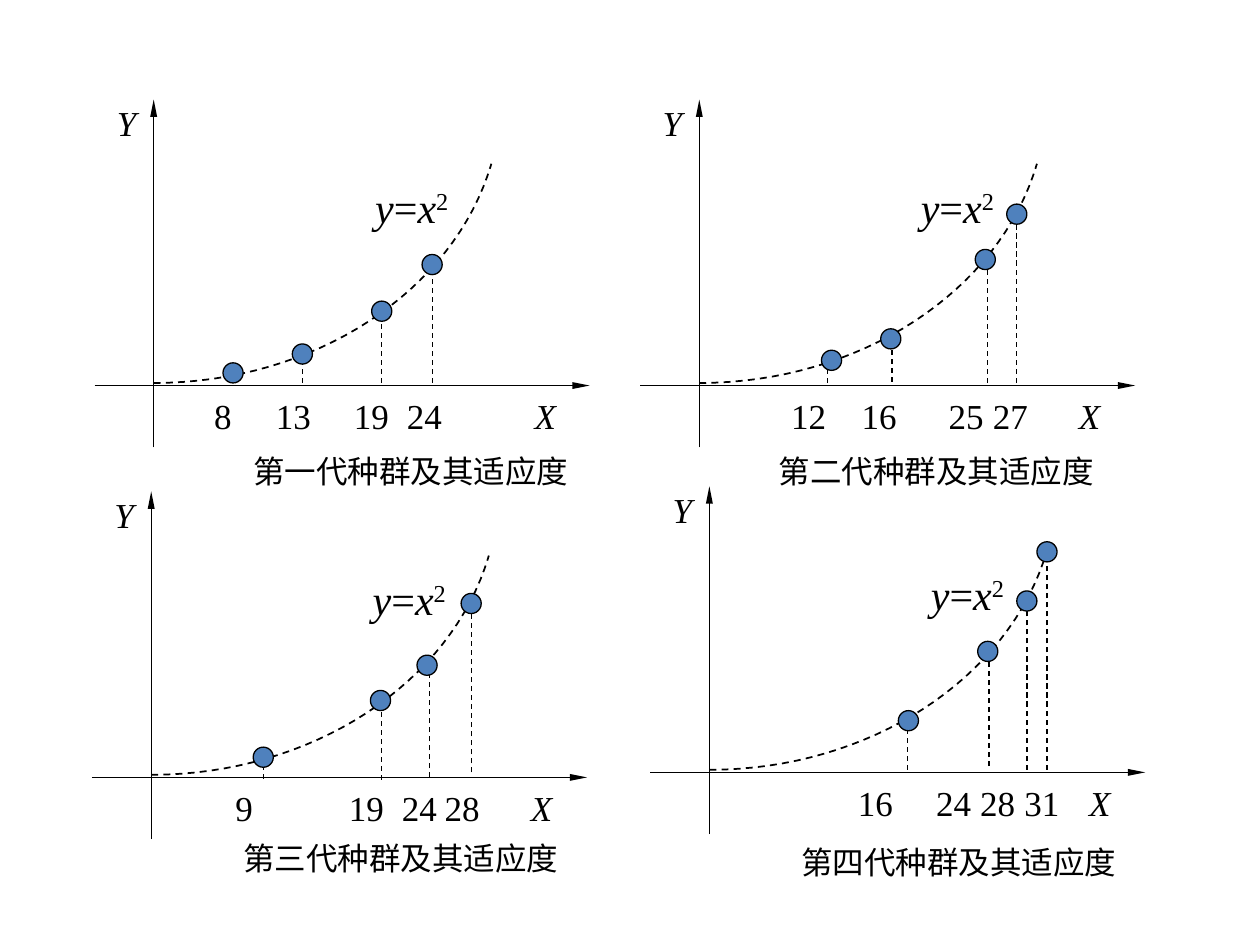
from lxml.etree import SubElement as Sub
from pptx import Presentation
from pptx.dml.color import RGBColor
from pptx.enum.dml import MSO_LINE as Dash
from pptx.enum.shapes import MSO_CONNECTOR as Link, MSO_SHAPE as Form
from pptx.enum.text import MSO_AUTO_SIZE as Fit
from pptx.oxml.ns import qn
from pptx.util import Inches, Pt

PLOTS = [
    dict(org=(1.22, 3.06), title=("第一代种群及其适应度", 2.01, 3.59),
         marks=[("8", 1.77), ("13", 2.33), ("19", 2.95), ("24", 3.37), ("X", 4.33)],
         dots=[(1.77, 2.88), (2.32, 2.73), (2.95, 2.39), (3.35, 2.02)],
         drops=[(2.4, 2.81, 3.04), (3.03, 2.49, 3.04), (3.43, 2.1, 3.04)]),
    dict(org=(5.55, 3.06), title=("第二代种群及其适应度", 6.18, 3.59),
         marks=[("12", 6.42), ("16", 6.98), ("25", 7.67), ("27", 8.02), ("X", 8.65)],
         dots=[(6.52, 2.78), (6.99, 2.61), (7.74, 1.98), (7.99, 1.62)],
         drops=[(6.57, 2.88, 3.04), (7.08, 2.71, 3.03), (7.84, 2.1, 3.04), (8.07, 1.62, 3.04)]),
    dict(org=(1.2, 6.17), title=("第三代种群及其适应度", 1.93, 6.66),
         marks=[("9", 1.94), ("19", 2.91), ("24", 3.33), ("28", 3.67), ("X", 4.3)],
         dots=[(2.01, 5.93), (2.94, 5.48), (3.31, 5.2), (3.66, 4.71)],
         drops=[(2.09, 6.02, 6.18), (3.03, 5.56, 6.19), (3.41, 5.23, 6.17), (3.74, 4.79, 6.13)]),
    dict(org=(5.63, 6.13), title=("第四代种群及其适应度", 6.36, 6.69),
         marks=[("16", 6.95), ("24", 7.57), ("28", 7.92), ("31", 8.27), ("X", 8.73)],
         dots=[(7.13, 5.64), (7.76, 5.09), (8.07, 4.69), (8.23, 4.3)],
         drops=[(7.2, 5.72, 6.11), (7.85, 5.14, 6.08), (8.15, 4.77, 6.11), (8.31, 4.38, 6.11)]),
]


def tint(code):
    return RGBColor.from_string(code)


class Board:
    """Draws the elements of a plot in one style on the current slide."""

    ink, blue = "000000", "4F81BD"
    serif, sans = "Times New Roman", "Calibri"
    inset, steps = 0.1, 32

    def __init__(self, slide):
        self.slide = slide

    def group(self):
        self.pool = self.slide.shapes.add_group_shape().shapes

    def pen(self, line, width=0.75, dash=False):
        line.color.rgb = tint(self.ink)
        line.width = Pt(width)
        if dash:
            line.dash_style = Dash.DASH

    def line(self, x1, y1, x2, y2, dash=False, arrow=False):
        ends = [Inches(v) for v in (x1, y1, x2, y2)]
        link = self.pool.add_connector(Link.STRAIGHT, *ends)
        self.pen(link.line, dash=dash)
        if arrow:
            Sub(link.line._get_or_add_ln(), qn("a:tailEnd"), type="triangle", w="sm", len="lg")
        Sub(link._element.spPr, qn("a:effectLst"))

    def curve(self, *knots):
        spots = []
        for step in range(self.steps + 1):
            t = step / self.steps
            u = 1 - t
            rates = (u ** 3, 3 * u * u * t, 3 * u * t * t, t ** 3)
            spots.append([Inches(sum(r * k[i] for r, k in zip(rates, knots))) for i in (0, 1)])
        trace = self.pool.build_freeform(*spots[0])
        trace.add_line_segments(spots[1:], close=False)
        shape = trace.convert_to_shape()
        shape.shadow.inherit = False
        shape.fill.background()
        self.pen(shape.line, 1, dash=True)

    def dot(self, x, y, size=0.16):
        shape = self.pool.add_shape(Form.OVAL, *[Inches(v) for v in (x, y, size, size)])
        shape.shadow.inherit = False
        shape.fill.solid()
        shape.fill.fore_color.rgb = tint(self.blue)
        self.pen(shape.line)

    def text(self, x, y, w, h, runs, size, font=serif, tabs=(), flush=False):
        box = self.pool.add_textbox(*[Inches(v) for v in (x, y, w, h)])
        frame = box.text_frame
        frame.word_wrap = True
        frame.auto_size = Fit.SHAPE_TO_FIT_TEXT
        if flush:
            frame.margin_left = frame.margin_right = 0
            frame.margin_top = frame.margin_bottom = 0
        para = frame.paragraphs[0]
        if tabs:
            stops = Sub(para._p.get_or_add_pPr(), qn("a:tabLst"))
            for tab in tabs:
                pos = Inches(tab - x - self.inset)
                Sub(stops, qn("a:tab"), pos=str(pos), algn="ctr")
        for word, slant, *lift in runs:
            run = para.add_run()
            run.text = word
            run.font.name = font
            run.font.size = Pt(size)
            run.font.italic = slant
            run.font.color.rgb = tint(self.ink)
            if lift:
                run._r.get_or_add_rPr().set("baseline", str(lift[0] * 1000))

    def plot(self, org, title, marks, dots, drops):
        x, y = org
        self.group()
        for at, top, base in drops:
            self.line(at, base, at, top, dash=True)
        self.text(x - 0.39, y - 2.3, 0.31, 0.43, [("Y", True)], 20)
        rule = [("y", True), ("=", False), ("x", True), ("2", False, 30)]
        self.text(x + 1.66, y - 1.67, 0.87, 0.5, rule, 24)
        self.line(x - 0.47, y, x + 3.46, y, arrow=True)
        self.line(x, y + 0.49, x, y - 2.27, arrow=True)
        names = [("\t" + name, name == "X") for name, _ in marks]
        self.text(x + 0.2, y + 0.02, 3.6, 0.43, names, 20, tabs=[at for _, at in marks])
        self.curve((x, y - 0.02), (x + 1.27, y - 0.02), (x + 2.38, y - 0.74), (x + 2.68, y - 1.76))
        for spot in dots:
            self.dot(*spot)
        name, left, top = title
        self.text(left, top, 2.68, 0.3, [(name, False)], 18, self.sans, flush=True)


def main():
    deck = Presentation()
    deck.slide_width, deck.slide_height = Inches(10), Inches(7.5)
    board = Board(deck.slides.add_slide(deck.slide_layouts[6]))
    for plot in PLOTS:
        board.plot(**plot)
    deck.save("out.pptx")


if __name__ == "__main__":
    main()
